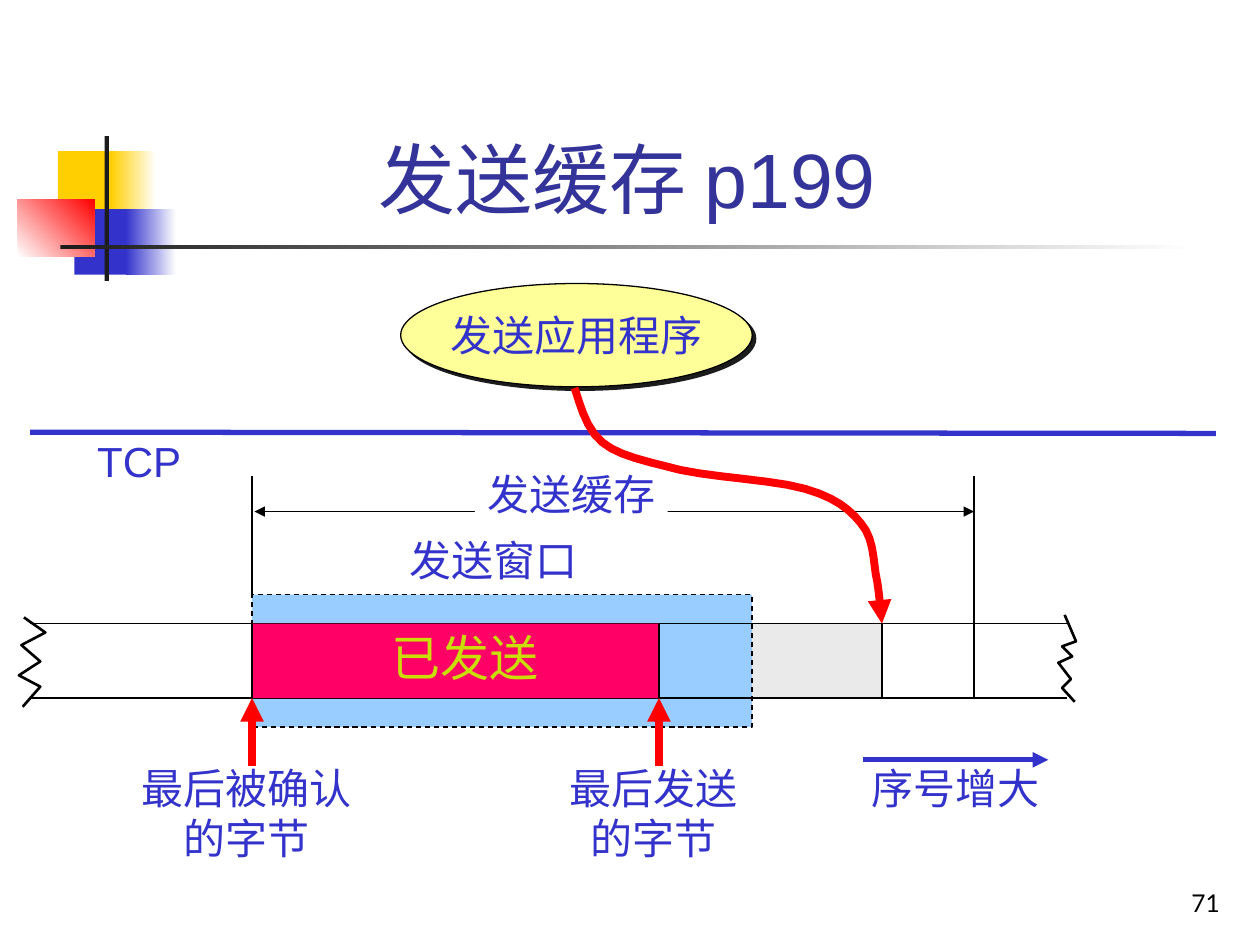
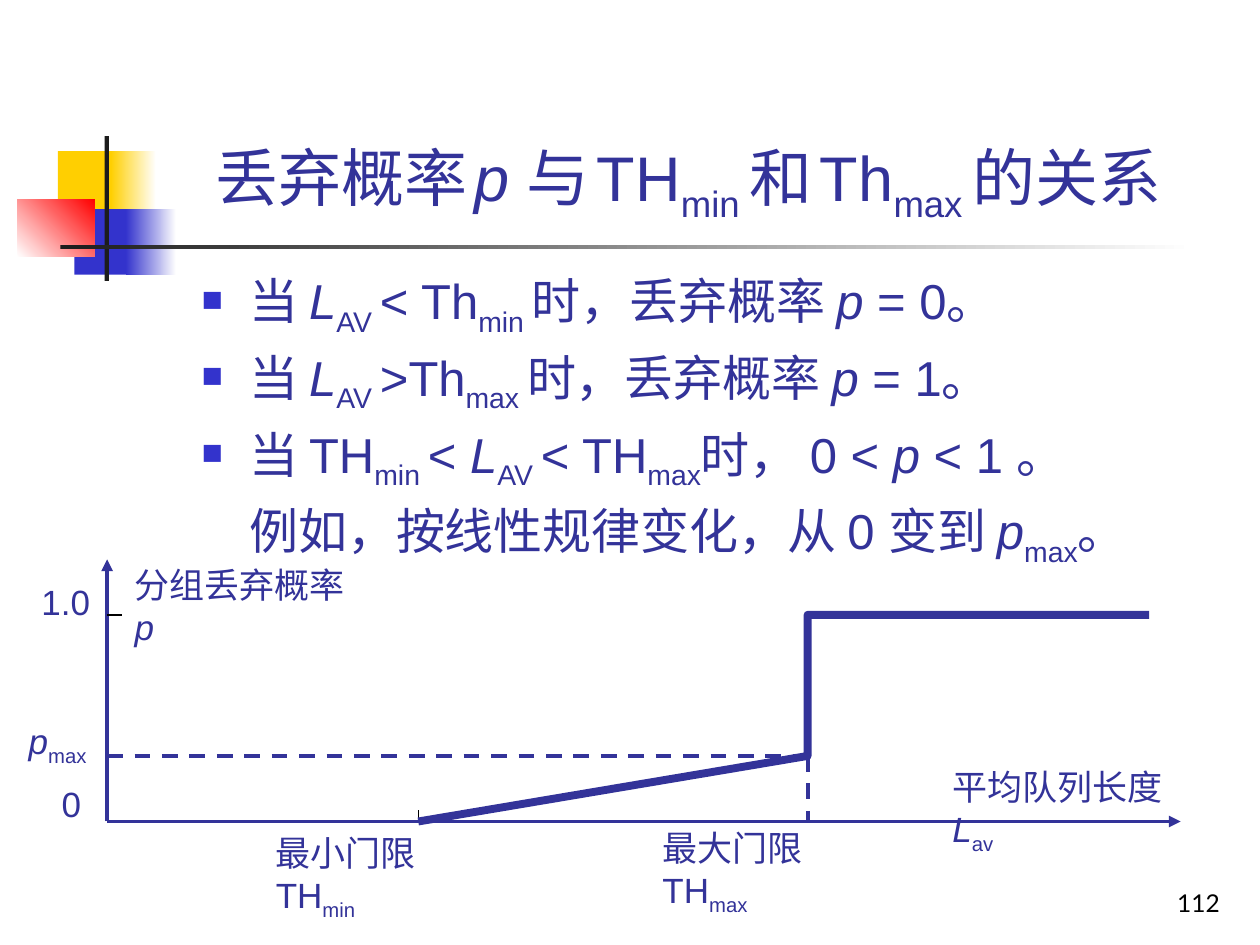
"""Build two lecture slides on the TCP send buffer and packet drop probability."""
from lxml.etree import SubElement
from pptx import Presentation
from pptx.dml.color import RGBColor
from pptx.enum.dml import MSO_LINE
from pptx.enum.shapes import MSO_CONNECTOR, MSO_SHAPE
from pptx.enum.text import MSO_ANCHOR, PP_ALIGN
from pptx.oxml import parse_xml
from pptx.oxml.ns import qn
from pptx.util import Inches, Pt

prs = Presentation()
prs.slide_width, prs.slide_height = Inches(10), Inches(7.5)
COLS = 100
U = prs.slide_width / COLS
rgb = RGBColor.from_string
RECT, OVAL = MSO_SHAPE.RECTANGLE, MSO_SHAPE.OVAL
LEFT, CENTER, RIGHT = PP_ALIGN.LEFT, PP_ALIGN.CENTER, PP_ALIGN.RIGHT
TOP, MIDDLE, BOTTOM = MSO_ANCHOR.TOP, MSO_ANCHOR.MIDDLE, MSO_ANCHOR.BOTTOM
BLUE, NAVY, INK, BLACK, WHITE = "3333CC", "333399", "1C1C1C", "000000", "FFFFFF"
GOLD, RED, YELLOW, SKY = "FFCF01", "FF0000", "FFFF99", "99CCFF"
MARKS = {"/": {"i": "1"}, "_": {"baseline": "-25000"}, "~": {"sz": "1800"}}
SHADOW = (
    '<a:effectLst xmlns:a="http://schemas.openxmlformats.org/drawingml/2006/main">'
    '<a:outerShdw dist="35900" dir="2700000" algn="ctr" rotWithShape="0">'
    f'<a:srgbClr val="{INK}"/></a:outerShdw></a:effectLst>'
)


def draw(s, kind, at, fill=None, line=None, width=0.75, dash=False, ends=(), shadow=False):
    at = [round(v * U) for v in at]
    if kind == "line":
        sp = s.shapes.add_connector(MSO_CONNECTOR.STRAIGHT, *at)
    elif kind == "free":
        builder = s.shapes.build_freeform(at[0], at[1])
        builder.add_line_segments(list(zip(at[2::2], at[3::2])), close=False)
        sp = builder.convert_to_shape()
    else:
        sp = s.shapes.add_shape(kind, *at)
    if isinstance(fill, tuple):
        sp.fill.gradient()
        sp.fill.gradient_angle = fill[2]
        for stop, color in zip(sp.fill.gradient_stops, fill):
            stop.color.rgb = rgb(color)
    elif fill:
        sp.fill.solid()
        sp.fill.fore_color.rgb = rgb(fill)
    elif kind != "line":
        sp.fill.background()
    if line:
        sp.line.color.rgb = rgb(line)
        sp.line.width = Pt(width)
        if dash:
            sp.line.dash_style = MSO_LINE.DASH
        for end in ends:
            SubElement(sp.line._get_or_add_ln(), qn(f"a:{end}"), type="triangle")
    else:
        sp.line.fill.background()
    spPr = sp._element.spPr
    if shadow:
        spPr.append(parse_xml(SHADOW))
    else:
        SubElement(spPr, qn("a:effectLst"))
    return sp


def write(s, at, text, size, color, align=LEFT, wrap=False, anchor=TOP, font="Arial", sp=None):
    sp = sp or s.shapes.add_textbox(*[round(v * U) for v in at])
    tf = sp.text_frame
    tf.word_wrap = wrap
    tf.vertical_anchor = anchor
    for i, row in enumerate(text.split("\n")):
        p = tf.add_paragraph() if i else tf.paragraphs[0]
        p.alignment = align
        for part in row.split("|"):
            if part == "↵":
                p.add_line_break()
                continue
            r = p.add_run()
            r.text = part[1:] if part[0] in MARKS else part
            for name, value in {"size": Pt(size), "name": font}.items():
                setattr(r.font, name, value)
            r.font.color.rgb = rgb(color)
            for name, value in MARKS.get(part[0], {}).items():
                r._r.get_or_add_rPr().set(name, value)
    return tf


emblem = [
    ((4.6, 12, 4.8, 5.2), GOLD),
    ((8.8, 12, 3.6, 5.2), (GOLD, WHITE, 0)),
    ((5.9, 16.6, 4.6, 5.2), BLUE),
    ((10, 16.6, 4, 5.2), (BLUE, WHITE, 0)),
    ((1.4, 15.8, 6.1, 4.6), (WHITE, RED, 45)),
    ((8.3, 10.8, 0.35, 11.5), INK),
    ((4.8, 19.45, 90, 0.35), (INK, WHITE, 0)),
]
titles = [
    ("发送缓存 p199", 44, 74.4, "71"),
    ("丢弃概率|~ |/p |与|~ |TH|_min |和|~ |Th|_max |的关系 ", 36, 85.2, "112"),
]
slides = []
for title, size, width, number in titles:
    s = prs.slides.add_slide(prs.slide_layouts[6])
    for at, fill in emblem:
        draw(s, RECT, at, fill)
    write(s, (77, 68.3, 20.8, 5), number, 14, BLACK, RIGHT, True, BOTTOM, "Lato")
    write(s, (12.6, 2.3, width, 16), title, size, NAVY, CENTER, True, BOTTOM)
    slides.append(s)
buffer_slide, drop_slide = slides

s = buffer_slide
acked, sent, window, written, limit = 20, 52.3, 59.7, 70, 77.3
top, bottom = 49.5, 55.4
depth = bottom - top
draw(s, "line", (acked + 0.2, 40.6, limit, 40.6), line=BLACK, ends=("headEnd", "tailEnd"))
draw(s, RECT, (sent, top, written - sent, depth), "EAEAEA")
app = draw(s, OVAL, (31.8, 22.5, 27.9, 8.2), YELLOW, BLACK, shadow=True)
write(s, None, "发送应用程序", 24, BLUE, CENTER, anchor=MIDDLE, sp=app)
draw(s, "line", (2.4, 34.3, 96.5, 34.4), line=BLUE, width=3)
draw(s, RECT, (acked, 47.2, window - acked, 10.5), SKY, BLACK, dash=True)
for y in (top, bottom):
    draw(s, "line", (2.4, y, 84.7, y), line=BLACK)
label = draw(s, RECT, (37.7, 36.7, 15.3, 5), WHITE)
write(s, None, "发送缓存", 24, BLUE, sp=label)
draw(s, RECT, (acked, top, sent - acked, depth), "FF0066")
for x in (acked, sent, written):
    draw(s, "line", (x, top, x, bottom), line=BLACK)
tf = write(s, (30.1, 49.3, 13.7, 5.7), "已发送", 28, "C9DE06")
tf.paragraphs[0].runs[0]._r.rPr.find(qn("a:solidFill")).addnext(parse_xml(SHADOW))
for x in (acked, sent):
    draw(s, "line", (x, 60.8, x, bottom), line=RED, width=4.5, ends=("tailEnd",))
for x, end in ((acked, 47.2), (limit, bottom)):
    draw(s, "line", (x, 37.8, x, end), line=BLACK)

knots = [
    (45.6, 30.8), (45.9, 31.5), (46.4, 34), (47.8, 35.1),
    (49.1, 36.2), (51.3, 36.6), (54, 37.3), (56.7, 37.9),
    (61.5, 38.1), (63.9, 38.8), (66.3, 39.5), (67.4, 40.4),
    (68.3, 41.5), (69.3, 42.6), (69.3, 44.2), (69.5, 45.5),
    (69.8, 46.9), (69.9, 48.7), (70, 49.5),
]
STEPS = 6
curve = list(knots[0])
for i in range(0, len(knots) - 1, 3):
    for t in [n / STEPS for n in range(1, STEPS + 1)]:
        weights = ((1 - t) ** 3, 3 * t * (1 - t) ** 2, 3 * t * t * (1 - t), t ** 3)
        for axis in (0, 1):
            curve.append(sum(w * k[axis] for w, k in zip(weights, knots[i:i + 4])))
draw(s, "free", curve, line=RED, width=4.5, ends=("tailEnd",))

right_tear = (84.5, 48.8, 85.4, 50.9, 84.3, 51.3, 85.1, 52.1, 84, 52.6, 85, 53.9, 84.3, 54.6, 85.3, 55.7)
left_tear = (1.9, 49, 3.6, 50.2, 1.7, 51.2, 3.2, 52.5, 1.5, 53.6, 3.2, 54.5, 1.8, 56.1)
for tear in (right_tear, left_tear):
    draw(s, "free", tear, line=BLACK, width=1.5)
draw(s, "line", (68.5, 60.3, 83.2, 60.3), line=BLUE, width=3, ends=("tailEnd",))
for at, text in [
    ((10.2, 60, 18.7, 9), "最后被确认\n的字节"),
    ((44.2, 60, 15.3, 9), "最后发送\n的字节"),
    ((31.5, 41.9, 15.3, 5), "发送窗口"),
    ((6.7, 34.1, 8.7, 5), "TCP"),
    ((68.2, 60, 15.3, 5), "序号增大"),
]:
    write(s, at, text, 24, BLUE, CENTER)

s = drop_slide
axis_x, axis_y = 8.5, 65.2
th_min, th_max = 33.2, 64.1
p_one, p_max = 48.8, 60
for end in ((93.7, axis_y), (axis_x, 44.4)):
    draw(s, "line", (axis_x, axis_y, *end), line=NAVY, width=2.25, ends=("tailEnd",))
for at in ((th_max, p_max, th_max, axis_y), (axis_x, p_max, th_max, p_max)):
    draw(s, "line", at, line=NAVY, width=2.25, dash=True)
for at in ((th_min, axis_y - 0.9, th_min, axis_y), (axis_x, p_one, axis_x + 1.2, p_one)):
    draw(s, "line", at, line=BLACK)
draw(s, "free", (th_min, axis_y, th_max, p_max, th_max, p_one, 91.2, p_one), line=NAVY, width=4.5)
for at, text in [
    ((20.9, 65.5, 20.5, 4.3), "最小门限|↵|TH|_min"),
    ((51.6, 65.1, 21, 4.3), "最大门限|↵|TH|_max"),
    ((74.6, 60.3, 22.9, 4.3), "平均队列长度|↵|/L|_av"),
    ((9.7, 44.2, 21, 4.3), "分组丢弃概率|↵|/p"),
    ((2.3, 45.6, 5.9, 4.3), "1.0"),
    ((3.9, 61.6, 3.6, 4.3), "0"),
    ((1.3, 56.6, 7, 4.3), "/p|_max"),
]:
    write(s, at, text, 20, NAVY, wrap="↵" in text)

rules = "\n".join([
    "当 |/L|_AV |< Th|_min |时，丢弃概率 |/p| = 0。",
    "当 |/L|_AV |>Th|_max |时，丢弃概率 |/p| = 1。",
    "当 TH|_min |< |/L|_AV |< TH|_max|时， 0 < |/p |< 1 。",
    "例如，按线性规律变化，从 0 变到 |/p|_max|。",
])
tf = write(s, (15, 21, 85, 26), rules, 28, NAVY, wrap=True)
indent = Inches(0.38)
for i, p in enumerate(tf.paragraphs):
    if i:
        p.space_before = Pt(5.6)
    pPr = p._p.get_or_add_pPr()
    pPr.set("marL", str(indent))
    if i < 3:
        pPr.set("indent", str(-indent))
        SubElement(SubElement(pPr, qn("a:buClr")), qn("a:srgbClr"), val=BLUE)
        SubElement(pPr, qn("a:buSzPct"), val="60000")
        SubElement(pPr, qn("a:buChar"), char="■")

prs.save("out.pptx")
